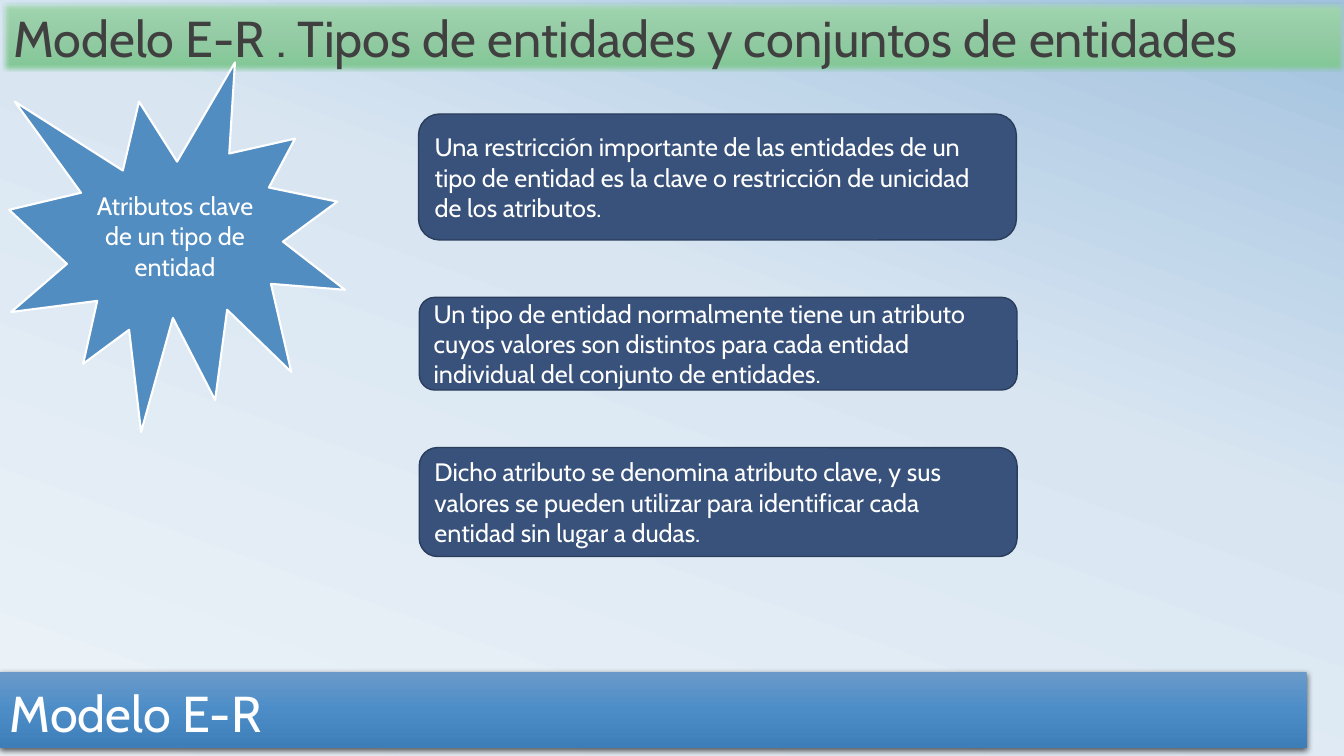
from lxml.etree import SubElement
from pptx import Presentation
from pptx.dml.color import RGBColor
from pptx.enum.shapes import MSO_SHAPE
from pptx.enum.text import MSO_ANCHOR, PP_ALIGN
from pptx.oxml.ns import qn
from pptx.util import Pt

FONT = "Cabin"
WHITE = RGBColor(0xFF, 0xFF, 0xFF)
BLACK = RGBColor(0x00, 0x00, 0x00)
DARK_GREY = RGBColor(0x40, 0x40, 0x40)
GREEN = RGBColor(0x31, 0xA9, 0x62)
STAR_BLUE = RGBColor(0x52, 0x8D, 0xC2)
NAVY = RGBColor(0x39, 0x52, 0x7B)
NAVY_EDGE = RGBColor(0x2A, 0x3D, 0x5B)
SKY_STOPS = [(0, RGBColor(0xEC, 0xF3, 0xF8)), (58, RGBColor(0xD9, 0xE6, 0xF2)),
             (100, RGBColor(0xA1, 0xC1, 0xDE))]
BLUE_STOPS = [(0, RGBColor(0x6A, 0x9A, 0xC9)), (50, RGBColor(0x4C, 0x8D, 0xC8)),
              (100, RGBColor(0x3E, 0x7E, 0xB8))]
GREEN_STOPS = [(0, RGBColor(0xA1, 0xD6, 0xAF)), (50, RGBColor(0x94, 0xCB, 0xA4)),
               (100, RGBColor(0x80, 0xC7, 0x94))]

KEY_FACTS = [
    (299, 81.4, 90, "Una restricción importante de las entidades de un tipo de entidad "
     "es la clave o restricción de unicidad de los atributos."),
    (299.5, 212.4, 66.2, "Un tipo de entidad normalmente tiene un atributo cuyos valores son "
     "distintos para cada entidad individual del conjunto de entidades."),
    (299.5, 319.7, 77.8, "Dicho atributo se denomina atributo clave, y sus valores se pueden "
     "utilizar para identificar cada entidad sin lugar a dudas."),
]
FACT_WIDTH = 427


def fill_gradient(fill, owner, stops, angle):
    """Fill with any number of (percent, colour) stops; angle is counter-clockwise."""
    fill.gradient()
    fill.gradient_angle = angle
    stop_list = next(owner.iter(qn("a:gsLst")))
    for old_stop in list(stop_list):
        stop_list.remove(old_stop)
    for percent, color in stops:
        stop = SubElement(stop_list, qn("a:gs"), pos=str(percent * 1000))
        SubElement(stop, qn("a:srgbClr"), val=str(color))


def add_effect(shape, tag, **attributes):
    effects = shape._element.spPr.find(qn("a:effectLst"))
    return SubElement(effects, qn(tag), **attributes)


def add_block(slide, preset, box, text, size, color, anchor, align=PP_ALIGN.LEFT):
    block = slide.shapes.add_shape(preset, *(Pt(length) for length in box))
    block.shadow.inherit = False
    frame = block.text_frame
    frame.word_wrap = True
    frame.vertical_anchor = anchor
    frame.text = text
    paragraph = frame.paragraphs[0]
    paragraph.alignment = align
    font = paragraph.runs[0].font
    font.name, font.size = FONT, Pt(size)
    font.color.rgb = color
    return block


def paint(block, fill_color, line_color, line_width):
    block.fill.solid()
    block.fill.fore_color.rgb = fill_color
    block.line.color.rgb = line_color
    block.line.width = Pt(line_width)


def add_banner(slide, box, text, color, stops):
    banner = add_block(slide, MSO_SHAPE.RECTANGLE, box, text, 36, color, MSO_ANCHOR.BOTTOM)
    banner.text_frame.paragraphs[0].line_spacing = 0.8
    fill_gradient(banner.fill, banner._element, stops, 270)
    return banner


def add_footer_title(slide, box):
    footer = add_banner(slide, box, "Modelo E-R", WHITE, BLUE_STOPS)
    footer.line.fill.background()
    shadow = add_effect(footer, "a:outerShdw", blurRad=str(Pt(4.5)), dist=str(Pt(1.5)),
                        dir="5400000", algn="ctr", rotWithShape="0")
    shade = SubElement(shadow, qn("a:srgbClr"), val=str(BLACK))
    SubElement(shade, qn("a:alpha"), val="63000")


def add_heading(slide, box):
    heading = add_banner(slide, box, "Modelo E-R . Tipos de entidades y conjuntos de entidades",
                         DARK_GREY, GREEN_STOPS)
    heading.line.color.rgb = GREEN
    heading.line.width = Pt(0.5)
    add_effect(heading, "a:softEdge", rad=str(Pt(2.5)))


def add_topic_star(slide, box):
    star = add_block(slide, MSO_SHAPE.EXPLOSION1, box, "Atributos clave de un tipo de entidad",
                     18, WHITE, MSO_ANCHOR.MIDDLE, PP_ALIGN.CENTER)
    paint(star, STAR_BLUE, WHITE, 1.5)


def add_key_fact(slide, box, text):
    fact = add_block(slide, MSO_SHAPE.ROUNDED_RECTANGLE, box, text, 18, WHITE, MSO_ANCHOR.MIDDLE)
    paint(fact, NAVY, NAVY_EDGE, 1)


def main():
    deck = Presentation()
    deck.slide_width, deck.slide_height = Pt(960), Pt(540)
    slide = deck.slides.add_slide(deck.slide_layouts[6])
    fill_gradient(slide.background.fill, slide._element, SKY_STOPS, 70)
    add_footer_title(slide, (0, 480, 933.4, 54))
    add_heading(slide, (2.4, 2.2, 957.6, 49))
    add_topic_star(slide, (6.5, 44.6, 240, 264))
    for left, top, height, text in KEY_FACTS:
        add_key_fact(slide, (left, top, FACT_WIDTH, height), text)
    deck.save("out.pptx")


if __name__ == "__main__":
    main()
